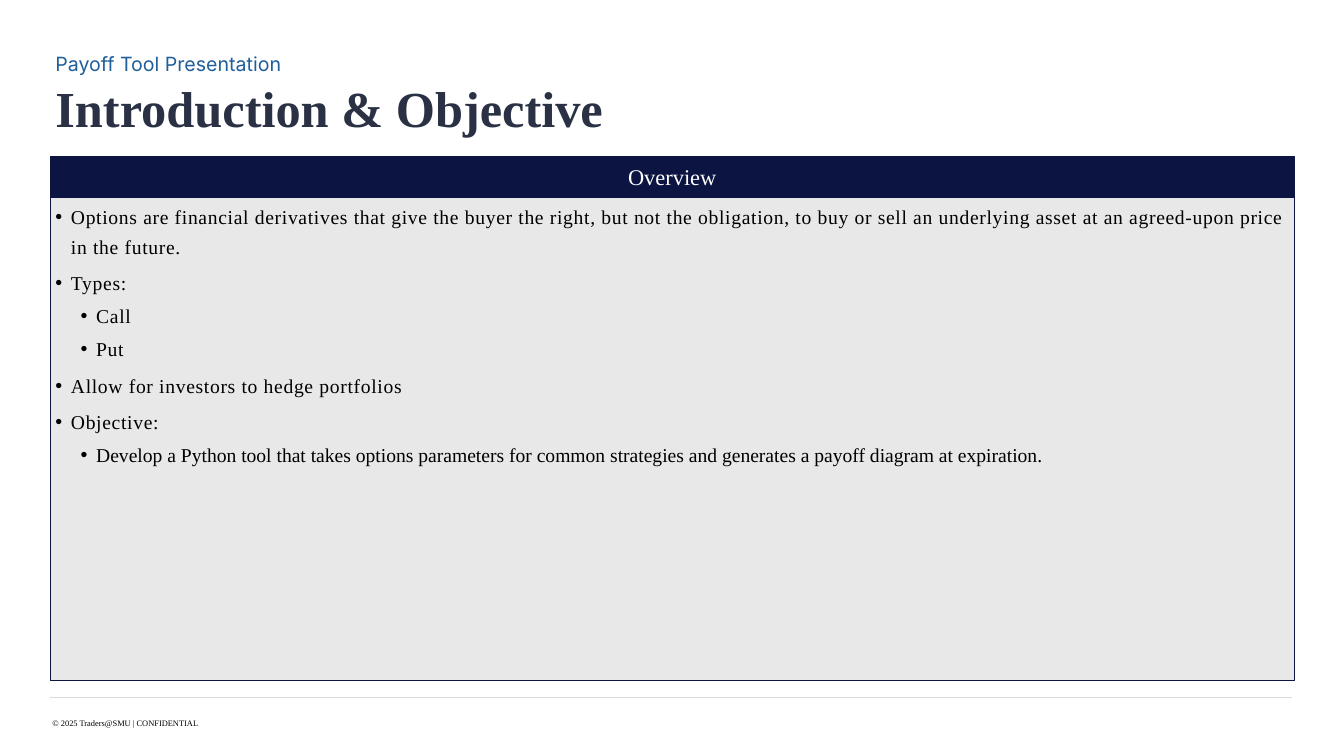
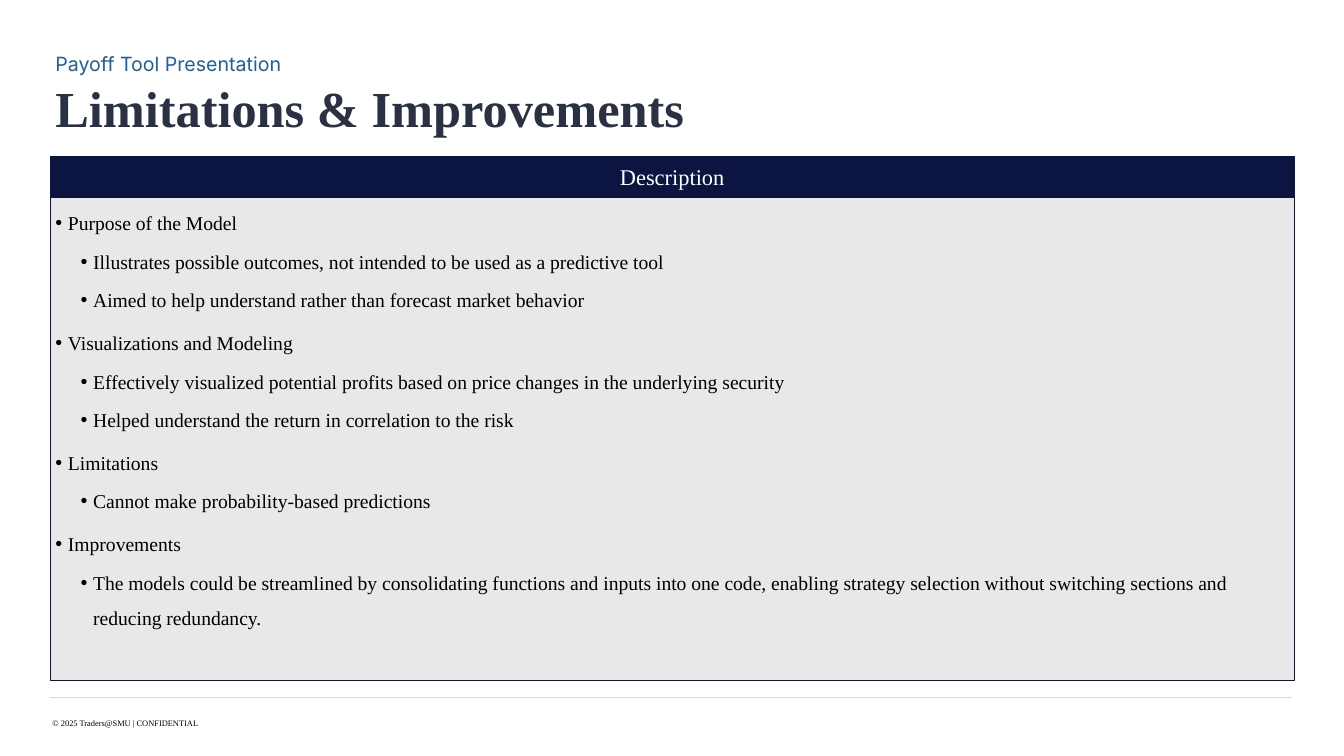
from dataclasses import dataclass

from lxml.etree import SubElement
from pptx import Presentation
from pptx.dml.color import RGBColor
from pptx.enum.shapes import MSO_CONNECTOR, MSO_SHAPE
from pptx.enum.text import MSO_ANCHOR as Anchor, PP_ALIGN as Align
from pptx.oxml.ns import qn
from pptx.util import Emu, Pt

PX = 9144


@dataclass(frozen=True)
class Theme:
    navy: str = "0C1542"
    panel: str = "E8E8E8"
    rule: str = "D9D9D9"
    title: str = "2B3145"
    tagline: str = "215F9A"
    ink: str = "000000"
    white: str = "FFFFFF"
    serif: str = "Times New Roman"
    sans: str = "Inter"
    title_size: int = 72
    band_size: int = 32
    body_size: int = 28
    footer_size: int = 12


theme = Theme()

LEFT, WIDTH = 100, 2468
DECK_TAGLINE = "Payoff Tool Presentation"
FOOTER = "© 2025 Traders@SMU | CONFIDENTIAL"
SPACE_BEFORE = (Pt(10), Pt(5))
LEVEL_STEP = 50

slides = [
    {
        "title": "Introduction & Objective",
        "band": "Overview",
        "hanging": 31,
        "line_spacing": Pt(42.2),
        "alignment": Align.JUSTIFY,
        "bullets": [
            (0, 100, "Options are financial derivatives that give the buyer the right, but not the "
                     "obligation, to buy or sell an underlying asset at an agreed-upon price in the future."),
            (0, 100, "Types:"),
            (1, 100, "Call"),
            (1, 100, "Put"),
            (0, 100, "Allow for investors to hedge portfolios"),
            (0, 100, "Objective:"),
            (1, 0, "Develop a Python tool that takes options parameters for common strategies "
                   "and generates a payoff diagram at expiration."),
        ],
    },
    {
        "title": "Limitations & Improvements",
        "band": "Description",
        "hanging": 25,
        "line_spacing": 1.5,
        "alignment": Align.LEFT,
        "bullets": [
            (0, 0, "Purpose of the Model"),
            (1, 0, "Illustrates possible outcomes, not intended to be used as a predictive tool"),
            (1, 0, "Aimed to help understand rather than forecast market behavior"),
            (0, 0, "Visualizations and Modeling"),
            (1, 0, "Effectively visualized potential profits based on price changes in the underlying security"),
            (1, 0, "Helped understand the return in correlation to the risk"),
            (0, 0, "Limitations"),
            (1, 0, "Cannot make probability-based predictions"),
            (0, 0, "Improvements"),
            (1, 0, "The models could be streamlined by consolidating functions and inputs into one code, "
                   "enabling strategy selection without switching sections and reducing redundancy."),
        ],
    },
]


def add_box(page, bounds, fill=None, **frame_format):
    left, top, width, height = (Emu(value * PX) for value in bounds)
    if fill:
        box = page.shapes.add_shape(MSO_SHAPE.RECTANGLE, left, top, width, height)
        box.shadow.inherit = False
        box.fill.solid()
        box.fill.fore_color.rgb = RGBColor.from_string(fill)
        box.line.color.rgb = RGBColor.from_string(theme.navy)
        box.line.width = Pt(1.5)
    else:
        box = page.shapes.add_textbox(left, top, width, height)
    frame = box.text_frame
    for name, value in {"word_wrap": True, "vertical_anchor": Anchor.TOP, **frame_format}.items():
        setattr(frame, name, value)
    return frame


def write(para, text, size, color, font=theme.serif, bold=False, **para_format):
    for name, value in {"alignment": Align.LEFT, **para_format}.items():
        setattr(para, name, value)
    span = para.add_run()
    span.text = text
    for name, value in {"name": font, "size": Pt(size), "bold": bold}.items():
        setattr(span.font, name, value)
    span.font.color.rgb = RGBColor.from_string(color)
    return span


deck = Presentation()
deck.slide_width, deck.slide_height = Emu(2667 * PX), Emu(1500 * PX)

for content in slides:
    page = deck.slides.add_slide(deck.slide_layouts[6])
    page.background.fill.solid()
    page.background.fill.fore_color.rgb = RGBColor.from_string(theme.white)

    footer = add_box(page, (LEFT, 1419, 808, 30), margin_left=Emu(4 * PX))
    write(footer.paragraphs[0], FOOTER, theme.footer_size, theme.ink)

    rule = page.shapes.add_connector(
        MSO_CONNECTOR.STRAIGHT, Emu(LEFT * PX), Emu(1384 * PX), Emu(2564 * PX), Emu(1384 * PX))
    rule.line.color.rgb = RGBColor.from_string(theme.rule)
    rule.line.width = Pt(1)
    SubElement(rule._element.spPr, qn("a:effectLst"))

    title = add_box(page, (LEFT, 150, WIDTH, 140), vertical_anchor=Anchor.MIDDLE)
    write(title.paragraphs[0], content["title"], theme.title_size, theme.title, bold=True, line_spacing=0.9)

    body = add_box(page, (LEFT, 390, WIDTH, 961), theme.panel)
    for index, (level, tracking, text) in enumerate(content["bullets"]):
        para = body.add_paragraph() if index else body.paragraphs[0]
        properties = para._p.get_or_add_pPr()
        properties.set("marL", str((content["hanging"] + level * LEVEL_STEP) * PX))
        properties.set("indent", str(-content["hanging"] * PX))
        SubElement(properties, qn("a:buFont"), typeface="Arial")
        SubElement(properties, qn("a:buChar"), char="•")
        span = write(
            para, text, theme.body_size, theme.ink,
            level=level,
            line_spacing=content["line_spacing"],
            space_before=SPACE_BEFORE[level] if index else Pt(0),
            alignment=content["alignment"] if index else Align.LEFT)
        span.font._element.set("spc", str(tracking))

    band = add_box(page, (LEFT, 310, WIDTH, 81), theme.navy, vertical_anchor=Anchor.MIDDLE)
    write(band.paragraphs[0], content["band"], theme.band_size, theme.white, alignment=Align.CENTER)

    tagline = add_box(page, (LEFT, 75, 737, 50))
    write(tagline.paragraphs[0], DECK_TAGLINE, theme.body_size, theme.tagline, theme.sans, line_spacing=1.5)

deck.save("out.pptx")
